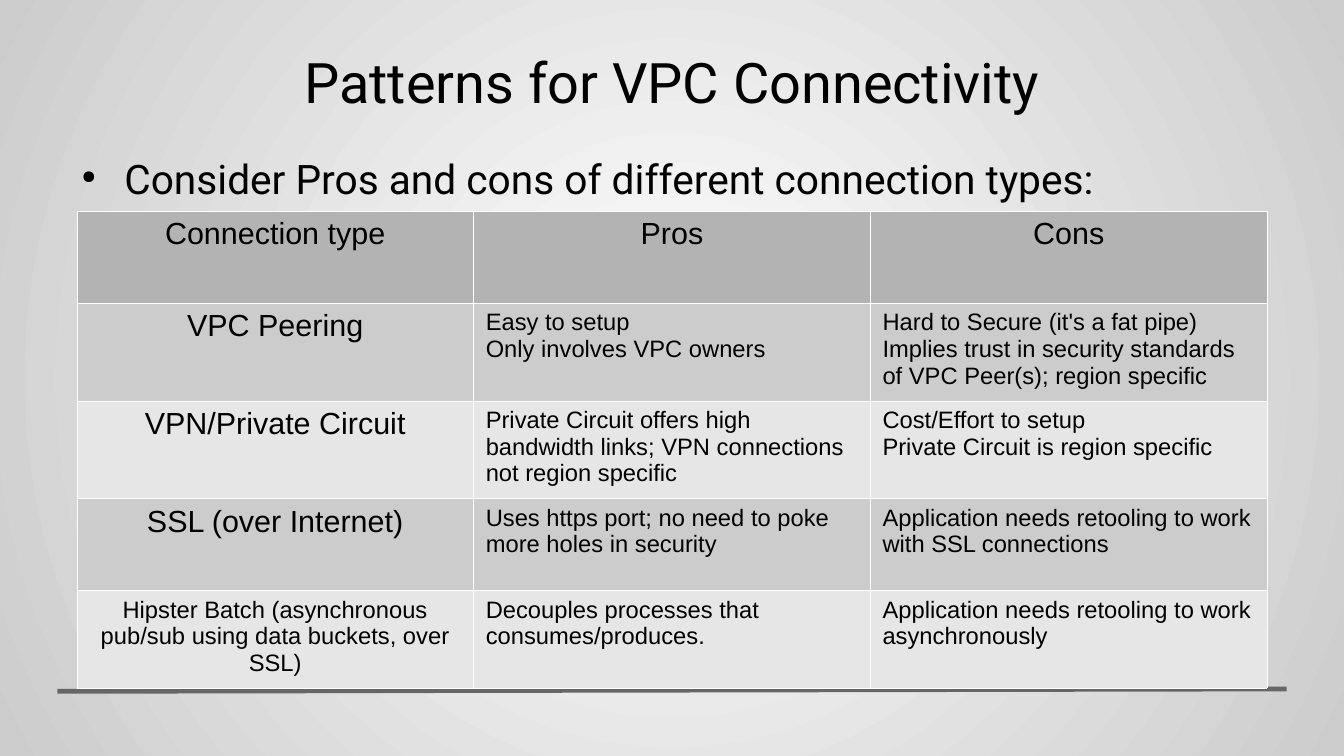
from dataclasses import dataclass

import lxml.etree
import pptx
import pptx.dml.color
import pptx.enum.shapes
import pptx.enum.text
import pptx.oxml
import pptx.oxml.ns
import pptx.util

Pt = pptx.util.Pt
RGB = pptx.dml.color.RGBColor
Align = pptx.enum.text.PP_ALIGN
Anchor = pptx.enum.text.MSO_ANCHOR
qn = pptx.oxml.ns.qn


@dataclass(frozen=True)
class Theme:
    ink: str = "000000"
    rule: str = "666666"
    border: str = "FFFFFF"
    glow: str = "FFFFFF"
    edge: str = "CCCCCC"
    header: str = "B3B3B3"
    bands: tuple[str, str] = ("CCCCCC", "E6E6E6")
    heading_font: str = "Roboto"
    table_font: str = "Arial"
    title_size: float = 33
    body_size: float = 24
    label_size: float = 18
    detail_size: float = 14


@dataclass(frozen=True)
class TextBlock:
    text: str
    top: float
    height: float
    size: float
    align: Align
    anchor: Anchor


@dataclass(frozen=True)
class Connection:
    label: str
    pros: str
    cons: str
    label_size: float


THEME = Theme()
BLOCK_LEFT, BLOCK_WIDTH = 39.6, 714.24
TABLE_LEFT, TABLE_TOP = 45.36, 124.56
COLUMN_WIDTH, ROW_HEIGHT = 234.24, 54.43

TITLE = TextBlock("Patterns for VPC Connectivity", 16.56, 62.64,
                  THEME.title_size, Align.CENTER, Anchor.MIDDLE)
INTRO = TextBlock("Consider Pros and cons of different connection types:", 90.72, 306,
                  THEME.body_size, Align.LEFT, Anchor.TOP)

HEADER = Connection("Connection type", "Pros", "Cons", THEME.label_size)
CONNECTIONS = [
    Connection("VPC Peering",
               "Easy to setup\nOnly involves VPC owners",
               "Hard to Secure (it's a fat pipe)\n"
               "Implies trust in security standards of VPC Peer(s); region specific",
               THEME.label_size),
    Connection("VPN/Private Circuit",
               "Private Circuit offers high bandwidth links; VPN connections not region specific",
               "Cost/Effort to setup\nPrivate Circuit is region specific",
               THEME.label_size),
    Connection("SSL (over Internet)",
               "Uses https port; no need to poke more holes in security",
               "Application needs retooling to work with SSL connections",
               THEME.label_size),
    Connection("Hipster Batch (asynchronous pub/sub using data buckets, over SSL)",
               "Decouples processes that consumes/produces.",
               "Application needs retooling to work asynchronously",
               THEME.detail_size),
]


def add_element(parent, tag: str, **attributes: str):
    return lxml.etree.SubElement(parent, qn(tag), attributes)


def format_text(frame, font: str, size: float, align: Align) -> None:
    for para in frame.paragraphs:
        para.alignment = align
        for span in para.runs:
            span.font.name = font
            span.font.size = Pt(size)
            span.font.color.rgb = RGB.from_string(THEME.ink)


def paint_background(page) -> None:
    fill = page.background.fill
    fill.gradient()
    for stop, color in zip(fill.gradient_stops, (THEME.glow, THEME.edge)):
        stop.color.rgb = RGB.from_string(color)
    linear = page.element.find(".//" + qn("a:lin"))
    radial = pptx.oxml.parse_xml(
        f'<a:path {pptx.oxml.ns.nsdecls("a")} path="circle">'
        '<a:fillToRect l="50000" t="50000" r="50000" b="50000"/></a:path>')
    linear.getparent().replace(linear, radial)


def add_rule(page) -> None:
    rule = page.shapes.add_connector(pptx.enum.shapes.MSO_CONNECTOR.STRAIGHT,
                                     Pt(33.84), Pt(408.24), Pt(759.6), Pt(406.8))
    rule.line.color.rgb = RGB.from_string(THEME.rule)
    rule.line.width = Pt(2.83)
    add_element(rule.element.spPr, "a:effectLst")


def add_block(page, block: TextBlock):
    box = page.shapes.add_textbox(Pt(BLOCK_LEFT), Pt(block.top),
                                  Pt(BLOCK_WIDTH), Pt(block.height))
    frame = box.text_frame
    frame.word_wrap = True
    frame.vertical_anchor = block.anchor
    frame.margin_left = frame.margin_right = frame.margin_top = frame.margin_bottom = 0
    frame.text = block.text
    format_text(frame, THEME.heading_font, block.size, block.align)
    return frame


def add_bullet(para) -> None:
    properties = para._p.get_or_add_pPr()
    properties.set("marL", str(Pt(33.84)))
    properties.set("indent", str(Pt(-25.2)))
    add_element(add_element(properties, "a:buClr"), "a:srgbClr", val=THEME.ink)
    add_element(properties, "a:buSzPct", val="45000")
    add_element(properties, "a:buChar", char="●")
    para.space_after = Pt(10.6)


def outline_cell(cell) -> None:
    properties = cell._tc.get_or_add_tcPr()
    for side in ("L", "R", "T", "B"):
        line = add_element(properties, f"a:ln{side}", w=str(Pt(0.06)))
        add_element(add_element(line, "a:solidFill"), "a:srgbClr", val=THEME.border)


def fill_cell(cell, text: str, size: float, align: Align, color: str) -> None:
    outline_cell(cell)
    cell.fill.solid()
    cell.fill.fore_color.rgb = RGB.from_string(color)
    cell.text_frame.text = text
    format_text(cell.text_frame, THEME.table_font, size, align)


def add_comparison(page) -> None:
    rows = [HEADER, *CONNECTIONS]
    table = page.shapes.add_table(len(rows), 3, Pt(TABLE_LEFT), Pt(TABLE_TOP),
                                  Pt(3 * COLUMN_WIDTH), Pt(len(rows) * ROW_HEIGHT)).table
    table.first_row = table.horz_banding = False
    for column in table.columns:
        column.width = Pt(COLUMN_WIDTH)
    for index, row in enumerate(rows):
        table.rows[index].height = Pt(ROW_HEIGHT)
        is_header = row is HEADER
        color = THEME.header if is_header else THEME.bands[(index - 1) % 2]
        size = THEME.label_size if is_header else THEME.detail_size
        align = Align.CENTER if is_header else Align.LEFT
        fill_cell(table.cell(index, 0), row.label, row.label_size, Align.CENTER, color)
        fill_cell(table.cell(index, 1), row.pros, size, align, color)
        fill_cell(table.cell(index, 2), row.cons, size, align, color)


def main() -> None:
    deck = pptx.Presentation()
    deck.slide_width, deck.slide_height = Pt(793.44), Pt(446.4)
    page = deck.slides.add_slide(deck.slide_layouts[6])
    paint_background(page)
    add_rule(page)
    add_block(page, TITLE)
    add_bullet(add_block(page, INTRO).paragraphs[0])
    add_comparison(page)
    deck.save("out.pptx")


if __name__ == "__main__":
    main()
